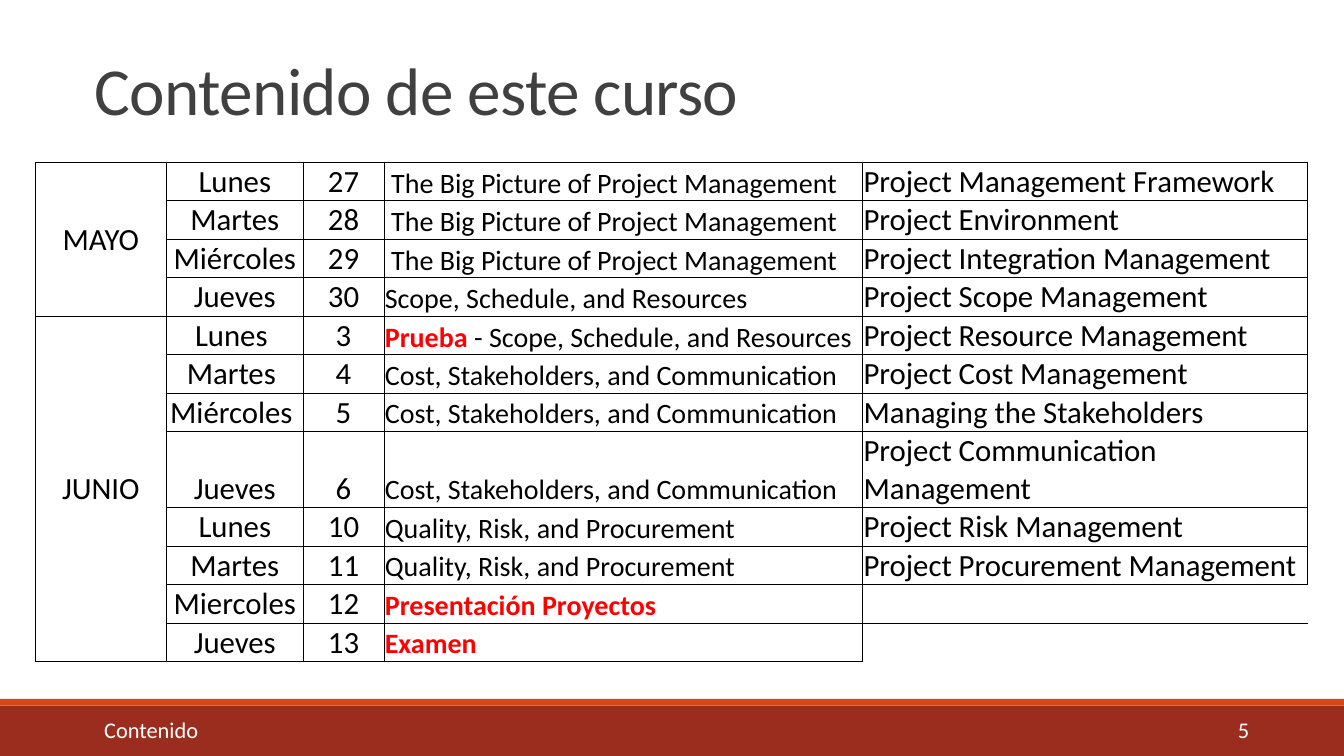
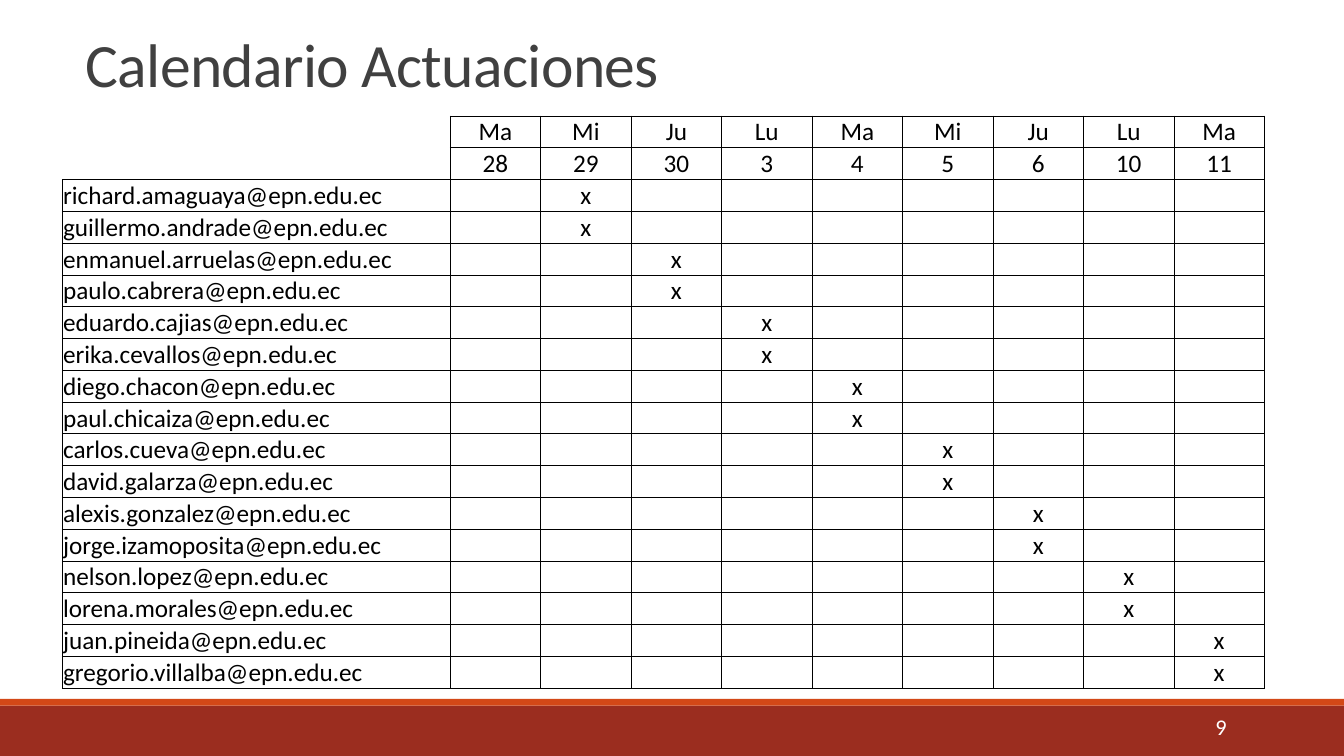
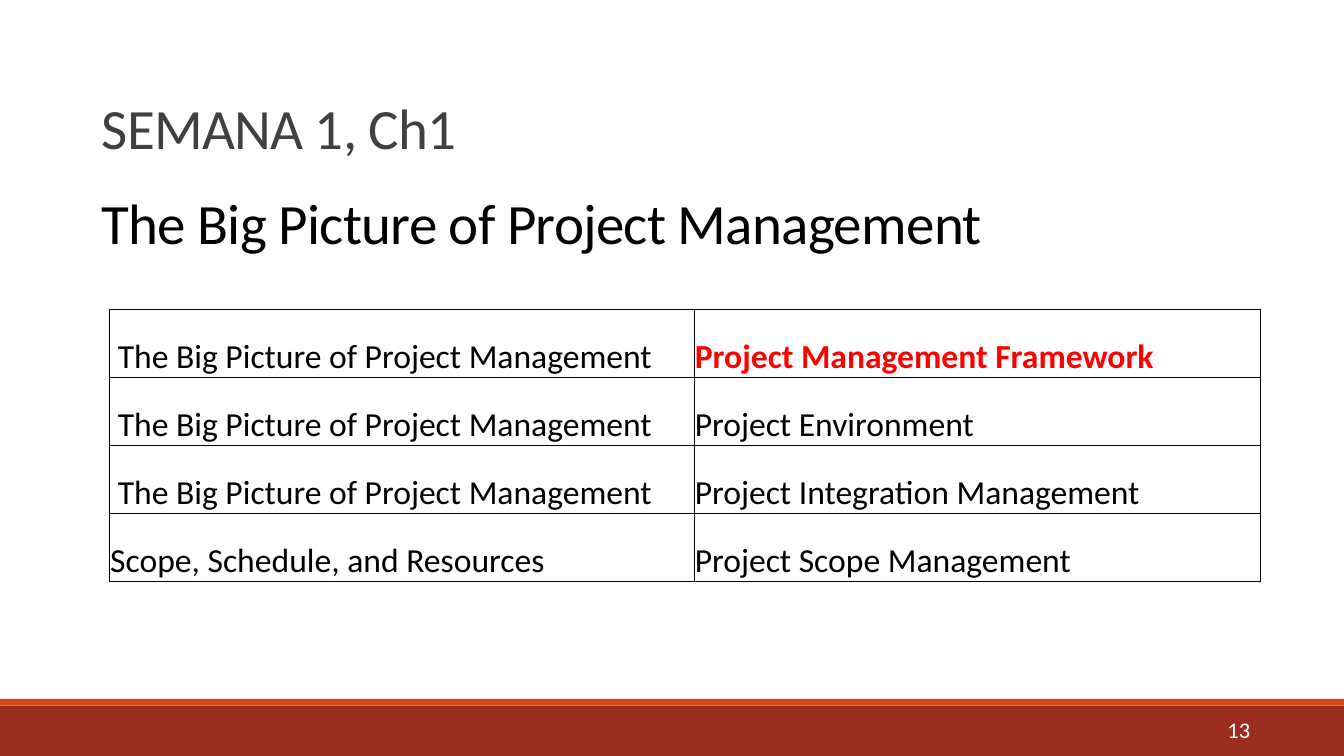
import pptx
import pptx.dml.color
import pptx.enum.shapes
import pptx.enum.text
import pptx.oxml
import pptx.oxml.ns
import pptx.util

COLUMNS, ROWS = 160, 90
COLORS = {"brick": "9B2D1F", "orange": "D34817", "gray": "404040",
          "black": "000000", "white": "FFFFFF", "red": "FF0000"}
FONT = "Calibri"
NO_GRID_STYLE = "{2D5ABB26-0587-4C30-8999-92F81FD0307C}"
ALIGN = pptx.enum.text.PP_ALIGN
ANCHOR = pptx.enum.text.MSO_ANCHOR


def color(name):
    return pptx.dml.color.RGBColor.from_string(COLORS[name])


class CourseDeck:
    """Hold the course style and the current slide, measured on a 160 by 90 grid."""

    def __init__(self):
        self.deck = pptx.Presentation()
        self.deck.slide_width = pptx.util.Inches(13.33)
        self.deck.slide_height = pptx.util.Inches(7.5)
        self.page = None

    def across(self, columns):
        return round(self.deck.slide_width * columns / COLUMNS)

    def down(self, rows):
        return round(self.deck.slide_height * rows / ROWS)

    def place(self, left, top, width, height):
        return self.across(left), self.down(top), self.across(width), self.down(height)

    def style(self, para, size, ink, align=ALIGN.LEFT):
        para.alignment = align
        para.font.name = FONT
        para.font.size = pptx.util.Pt(size)
        para.font.color.rgb = color(ink)

    def new_page(self):
        self.page = self.deck.slides.add_slide(self.deck.slide_layouts[5])
        self.band(84, 6, "brick")
        self.band(83.2, 0.8, "orange")

    def band(self, top, height, ink):
        band = self.page.shapes.add_shape(
            pptx.enum.shapes.MSO_SHAPE.RECTANGLE, *self.place(0, top, COLUMNS, height))
        band.shadow.inherit = False
        band.fill.solid()
        band.fill.fore_color.rgb = color(ink)
        band.line.fill.background()

    def title(self, area, size, lines, spacing=0.85):
        box = self.page.shapes.title
        box.left, box.top, box.width, box.height = self.place(*area)
        frame = box.text_frame
        frame.auto_size = pptx.enum.text.MSO_AUTO_SIZE.NONE
        frame.vertical_anchor = ANCHOR.TOP
        frame.text = "\n".join(text for text, ink in lines)
        for para, (text, ink) in zip(frame.paragraphs, lines):
            para.line_spacing = spacing
            self.style(para, size, ink)
            para.font._element.set("spc", "-50")

    def footer(self, area, number, label=None):
        box = self.page.shapes.add_textbox(*self.place(*area))
        frame = box.text_frame
        frame.word_wrap = True
        frame.vertical_anchor = ANCHOR.MIDDLE
        para = frame.paragraphs[0]
        if label is None:
            para.text = number
            self.style(para, 16, "white", ALIGN.RIGHT)
            return
        frame.margin_left = self.across(2.3)
        para.text = f"{label}\t{number}"
        stops = pptx.oxml.parse_xml(
            f'<a:tabLst {pptx.oxml.ns.nsdecls("a")}>'
            f'<a:tab pos="{self.across(136.3)}" algn="r"/></a:tabLst>')
        para._p.get_or_add_pPr().append(stops)
        self.style(para, 16, "white")

    def borders(self, cell, sides):
        for side in sides:
            cell._tc.get_or_add_tcPr().append(pptx.oxml.parse_xml(
                f'<a:ln{side} {pptx.oxml.ns.nsdecls("a")} w="{pptx.util.Pt(0.5)}">'
                f'<a:solidFill><a:srgbClr val="{COLORS["black"]}"/></a:solidFill></a:ln{side}>'))

    def cell_text(self, cell, text, size, align, anchor):
        cell.vertical_anchor = anchor
        cell.margin_left = cell.margin_right = cell.margin_top = pptx.util.Inches(0.01)
        cell.margin_bottom = 0
        para = cell.text_frame.paragraphs[0]
        self.style(para, size, "black", align)
        for index, part in enumerate((text or "").split("*")):
            if part:
                span = para.add_run()
                span.text = part
                if index % 2:
                    span.font.bold = True
                    span.font.color.rgb = color("red")

    def table(self, left, top, row_height, columns, rows, merges=()):
        total = sum(column[0] for column in columns)
        frame = self.page.shapes.add_table(
            len(rows), len(columns),
            *self.place(left, top, total, row_height * len(rows)))
        table = frame.table
        table.first_row = table.horz_banding = False
        table._tbl.tblPr.find(pptx.oxml.ns.qn("a:tableStyleId")).text = NO_GRID_STYLE
        for column, (width, *_) in zip(table.columns, columns):
            column.width = self.across(width)
        for row in table.rows:
            row.height = self.down(row_height)

        def filled(r, c):
            return 0 <= r < len(rows) and 0 <= c < len(columns) and rows[r][c] is not None

        for r, texts in enumerate(rows):
            for c, text in enumerate(texts):
                cell = table.cell(r, c)
                self.cell_text(cell, text, *columns[c][1:])
                neighbors = {"L": (r, c - 1), "R": (r, c + 1),
                             "T": (r - 1, c), "B": (r + 1, c)}
                self.borders(cell, [side for side, spot in neighbors.items()
                                    if filled(r, c) or filled(*spot)])
                cell.fill.background()
        for first, last in merges:
            table.cell(first, 0).merge(table.cell(last, 0))


PICTURE = " The Big Picture of Project Management"
SCOPE = "Scope, Schedule, and Resources"
COST = "Cost, Stakeholders, and Communication"
QUALITY = "Quality, Risk, and Procurement"
WEEK_ONE = [
    (PICTURE, "Project Management Framework"),
    (PICTURE, "Project Environment"),
    (PICTURE, "Project Integration Management"),
    (SCOPE, "Project Scope Management"),
]
LATER_WEEKS = [
    ("Lunes ", "3", f"*Prueba* - {SCOPE}", "Project Resource Management"),
    ("Martes ", "4", COST, "Project Cost Management"),
    ("Miércoles ", "5", COST, "Managing the Stakeholders"),
    ("Jueves", "6", COST, "Project Communication Management"),
    ("Lunes", "10", QUALITY, "Project Risk Management"),
    ("Martes", "11", QUALITY, "Project Procurement Management"),
    ("Miercoles", "12", "*Presentación Proyectos*", None),
    ("Jueves", "13", "*Examen*", None),
]
STUDENTS = """richard.amaguaya guillermo.andrade enmanuel.arruelas paulo.cabrera
eduardo.cajias erika.cevallos diego.chacon paul.chicaiza carlos.cueva david.galarza
alexis.gonzalez jorge.izamoposita nelson.lopez lorena.morales juan.pineida
gregorio.villalba""".split()
DAYS = "Ma Mi Ju Lu Ma Mi Ju Lu Ma".split()
DATES = "28 29 30 3 4 5 6 10 11".split()


def contents(course):
    course.new_page()
    course.title((10.1, 6.6, 132, 9.6), 48, [("Contenido de este curso", "gray")])
    days = zip(["Lunes", "Martes", "Miércoles", "Jueves"], ["27", "28", "29", "30"])
    schedule = [day + topic for day, topic in zip(days, WEEK_ONE)] + LATER_WEEKS
    months = {0: "MAYO", 4: "JUNIO"}
    rows = [(months.get(index, ""), *line) for index, line in enumerate(schedule)]
    columns = [(15.6, 22, ALIGN.CENTER, ANCHOR.MIDDLE),
               (16.3, 22, ALIGN.CENTER, ANCHOR.BOTTOM),
               (9.6, 22, ALIGN.CENTER, ANCHOR.BOTTOM),
               (57, 20, ALIGN.LEFT, ANCHOR.BOTTOM),
               (53, 22, ALIGN.LEFT, ANCHOR.BOTTOM)]
    course.table(4.2, 19.3, 2.64, columns, rows, merges=[(0, 3), (4, 11)])
    course.footer((10.1, 84.8, 139.9, 4.2), "5", "Contenido")


def calendar(course):
    course.new_page()
    course.title((9, 3.8, 145.5, 19.8), 44, [("Calendario Actuaciones", "gray")])
    rows = [[None] + DAYS, [None] + DATES]
    for index, student in enumerate(STUDENTS):
        marks = ["x" if day == 1 + index // 2 else "" for day in range(len(DAYS))]
        rows.append([f"{student}@epn.edu.ec"] + marks)
    columns = [(46.2, 18, ALIGN.LEFT, ANCHOR.BOTTOM)]
    columns += [(10.77, 18, ALIGN.CENTER, ANCHOR.MIDDLE)] * len(DAYS)
    course.table(7.4, 13.8, 2.64, columns, rows)
    course.footer((10.9, 82.9, 136.3, 7.1), "9")


def first_week(course):
    course.new_page()
    course.title((10.9, 7.1, 135.5, 24.4), 40.7,
                 [("SEMANA 1, Ch1", "gray"), (PICTURE.strip(), "black")], spacing=1.4)
    (topic, chapter), *others = WEEK_ONE
    columns = [(width, 24, ALIGN.LEFT, ANCHOR.BOTTOM) for width in (69.6, 67.4)]
    course.table(13, 36.8, 8.1, columns, [(topic, f"*{chapter}*")] + others)
    course.footer((10.1, 84.8, 139.9, 4.2), "13")


def main():
    course = CourseDeck()
    for build in (contents, calendar, first_week):
        build(course)
    course.deck.save("out.pptx")


if __name__ == "__main__":
    main()
